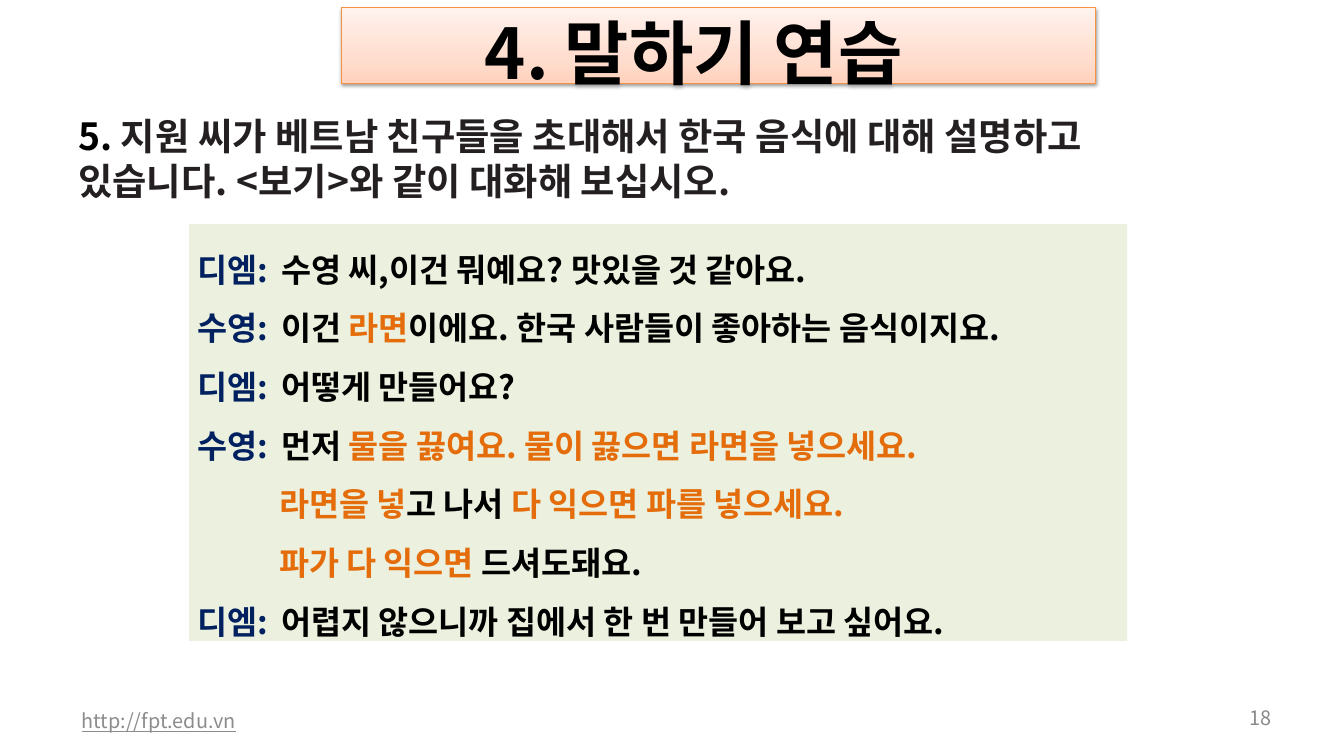
from dataclasses import dataclass

import pptx
import pptx.dml.color
import pptx.enum.text
import pptx.oxml
import pptx.oxml.ns
import pptx.util
from lxml import etree

Pt = pptx.util.Pt
RGB = pptx.dml.color.RGBColor.from_string
qn = pptx.oxml.ns.qn
ALIGN = pptx.enum.text.PP_ALIGN
ANCHOR = pptx.enum.text.MSO_ANCHOR


@dataclass(frozen=True)
class Theme:
    font: str = "Noto Sans CJK KR"
    black: str = "000000"
    ink: str = "242021"
    speaker: str = "002060"
    accent: str = "E46C0A"
    link: str = "8C8C8C"
    number: str = "898989"
    panel: str = "EBF1DE"
    border: str = "F69240"
    banner: tuple = ((0, "FFD2BD"), (35, "FFDED0"), (100, "FFF2ED"))
    title_size: int = 60
    task_size: int = 32
    dialogue_size: int = 28
    footer_size: int = 17


THEME = Theme()

# Each line: speaker (or None for a continuation), then (text, colour) runs.
DIALOGUE = [
    ("디엠:", [("수영 씨,이건 뭐예요? 맛있을 것 같아요.", THEME.black)]),
    ("수영:", [("이건 ", THEME.black), ("라면", THEME.accent),
             ("이에요. 한국 사람들이 좋아하는 음식이지요.", THEME.black)]),
    ("디엠:", [("어떻게 만들어요?", THEME.black)]),
    ("수영:", [("먼저 ", THEME.black),
             ("물을 끓여요. 물이 끓으면 라면을 넣으세요.", THEME.accent)]),
    (None, [("라면을 넣", THEME.accent), ("고 나서 ", THEME.black),
            ("다 익으면 파를 넣으세요.", THEME.accent)]),
    (None, [("파가 다 익으면 ", THEME.accent), ("드셔도돼요.", THEME.black)]),
    ("디엠:", [("어렵지 않으니까 집에서 한 번 만들어 보고 싶어요.", THEME.black)]),
]


def place(sp, left, top, width, height):
    sp.left, sp.top, sp.width, sp.height = map(Pt, (left, top, width, height))


def set_frame(sp, insets, anchor=ANCHOR.TOP):
    """Set wrapping, anchor and insets (left, top, right, bottom)."""
    tf = sp.text_frame
    tf.word_wrap = True
    tf.auto_size = pptx.enum.text.MSO_AUTO_SIZE.NONE
    tf.vertical_anchor = anchor
    (tf.margin_left, tf.margin_top,
     tf.margin_right, tf.margin_bottom) = map(Pt, insets)
    return tf


def add_run(p, text, size, color, bold=True, underline=False):
    r = p.add_run()
    r.text = text
    r.font.size = Pt(size)
    r.font.bold = bold
    r.font.underline = underline
    r.font.color.rgb = RGB(color)
    r.font.name = THEME.font
    etree.SubElement(r.font._element, qn("a:ea"), typeface=THEME.font)


def set_indent(p, margin, tab):
    """Remove the bullet and set the left margin and one tab stop."""
    pPr = p._p.get_or_add_pPr()
    pPr.set("marL", str(Pt(margin)))
    pPr.set("indent", "0")
    etree.SubElement(pPr, qn("a:buNone"))
    tabs = etree.SubElement(pPr, qn("a:tabLst"))
    etree.SubElement(tabs, qn("a:tab"), pos=str(Pt(tab)), algn="l")


def set_banner_fill(sp):
    sp.fill.gradient()
    sp.fill.gradient_angle = 90
    stops = sp._element.spPr.find(".//" + qn("a:gsLst"))
    for gs in list(stops):
        stops.remove(gs)
    for percent, color in THEME.banner:
        gs = etree.SubElement(stops, qn("a:gs"), pos=str(percent * 1000))
        etree.SubElement(gs, qn("a:srgbClr"), val=color)


def add_shadow(sp):
    effects = etree.SubElement(sp._element.spPr, qn("a:effectLst"))
    shadow = etree.SubElement(
        effects, qn("a:outerShdw"), blurRad=str(Pt(3.1)), dist=str(Pt(1.6)),
        dir="5400000", rotWithShape="0")
    color = etree.SubElement(shadow, qn("a:srgbClr"), val=THEME.black)
    etree.SubElement(color, qn("a:alpha"), val="38000")


def add_title(s):
    sp = s.shapes.title
    place(sp, 293, 6.5, 646, 64.8)
    set_banner_fill(sp)
    sp.line.color.rgb = RGB(THEME.border)
    sp.line.width = Pt(0.75)
    add_shadow(sp)
    p = set_frame(sp, (7.2, 3.6, 50, 3.6), ANCHOR.MIDDLE).paragraphs[0]
    p.alignment = ALIGN.CENTER
    p.line_spacing = Pt(82)
    add_run(p, "4. 말하기 연습", THEME.title_size, THEME.black)


def add_task(s):
    sp = s.shapes.add_textbox(Pt(60), Pt(89.3), Pt(941.8), Pt(85))
    p = set_frame(sp, (7.2, 7.2, 7.2, 0)).paragraphs[0]
    p.line_spacing = Pt(38.6)
    add_run(p, "5. ", THEME.task_size, THEME.black)
    add_run(p, "지원 씨가 베트남 친구들을 초대해서 한국 음식에 대해 설명하고 "
               "있습니다. <보기>와 같이 대화해 보십시오.",
            THEME.task_size, THEME.ink)


def add_dialogue(s):
    sp = s.placeholders[1]
    place(sp, 162, 192.2, 804.2, 357.1)
    sp.fill.solid()
    sp.fill.fore_color.rgb = RGB(THEME.panel)
    tf = set_frame(sp, (7.2, 5, 7.2, 0))
    for i, (speaker, parts) in enumerate(DIALOGUE):
        p = tf.add_paragraph() if i else tf.paragraphs[0]
        p.alignment = ALIGN.LEFT
        p.line_spacing = Pt(50.3)
        p.space_before = Pt(0)
        set_indent(p, 0 if speaker else 70, 86.6)
        if speaker:
            add_run(p, speaker + "\t", THEME.dialogue_size, THEME.speaker)
        for text, color in parts:
            add_run(p, text, THEME.dialogue_size, color)


def add_footer(s, text, left, width, height, color, align, underline=False):
    sp = s.shapes.add_textbox(Pt(left), Pt(600), Pt(width), Pt(height))
    p = set_frame(sp, (10, 5, 10, 5), ANCHOR.MIDDLE).paragraphs[0]
    p.alignment = align
    add_run(p, text, THEME.footer_size, color, False, underline)


def main():
    prs = pptx.Presentation()
    prs.slide_width, prs.slide_height = Pt(1152), Pt(648)
    s = prs.slides.add_slide(prs.slide_layouts[1])
    add_title(s)
    add_task(s)
    add_dialogue(s)
    add_footer(s, "http://fpt.edu.vn", 60, 365, 34.5, THEME.link,
               ALIGN.LEFT, underline=True)
    add_footer(s, "18", 1044, 56, 29.5, THEME.number, ALIGN.RIGHT)
    prs.save("out.pptx")


if __name__ == "__main__":
    main()
